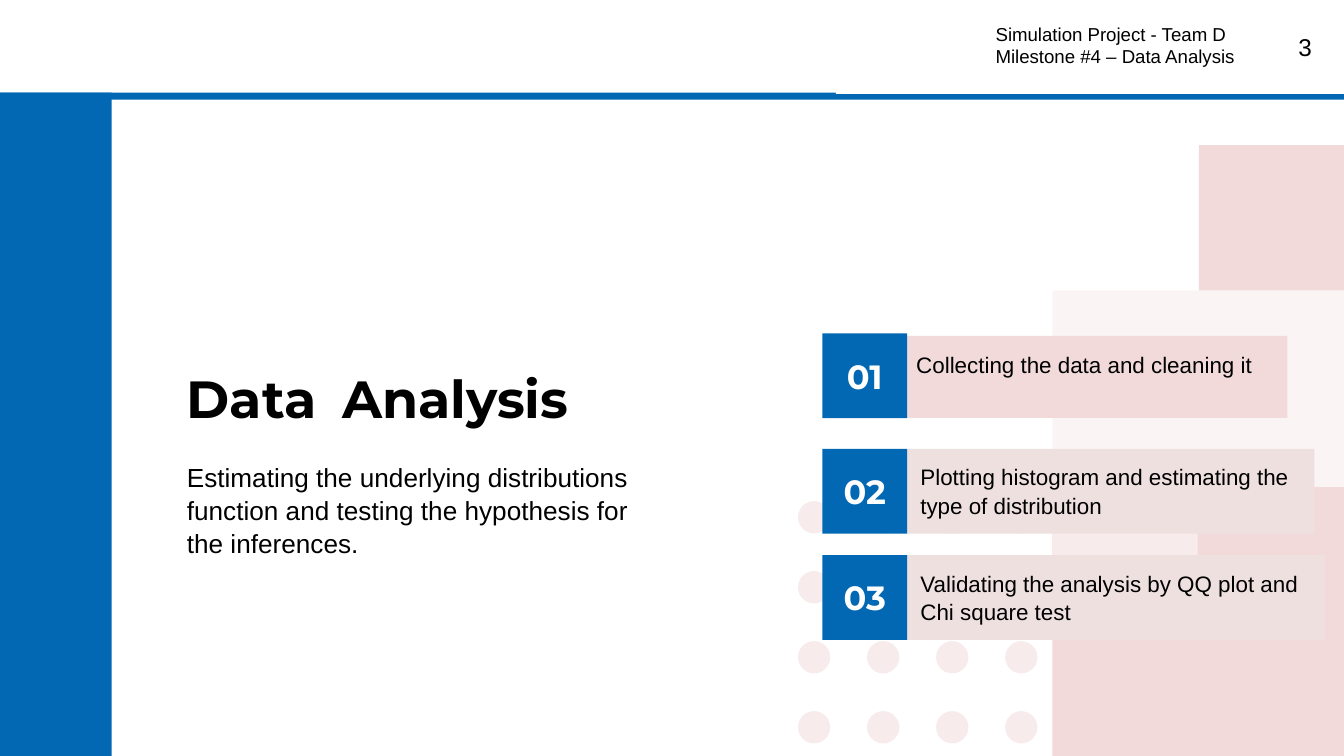
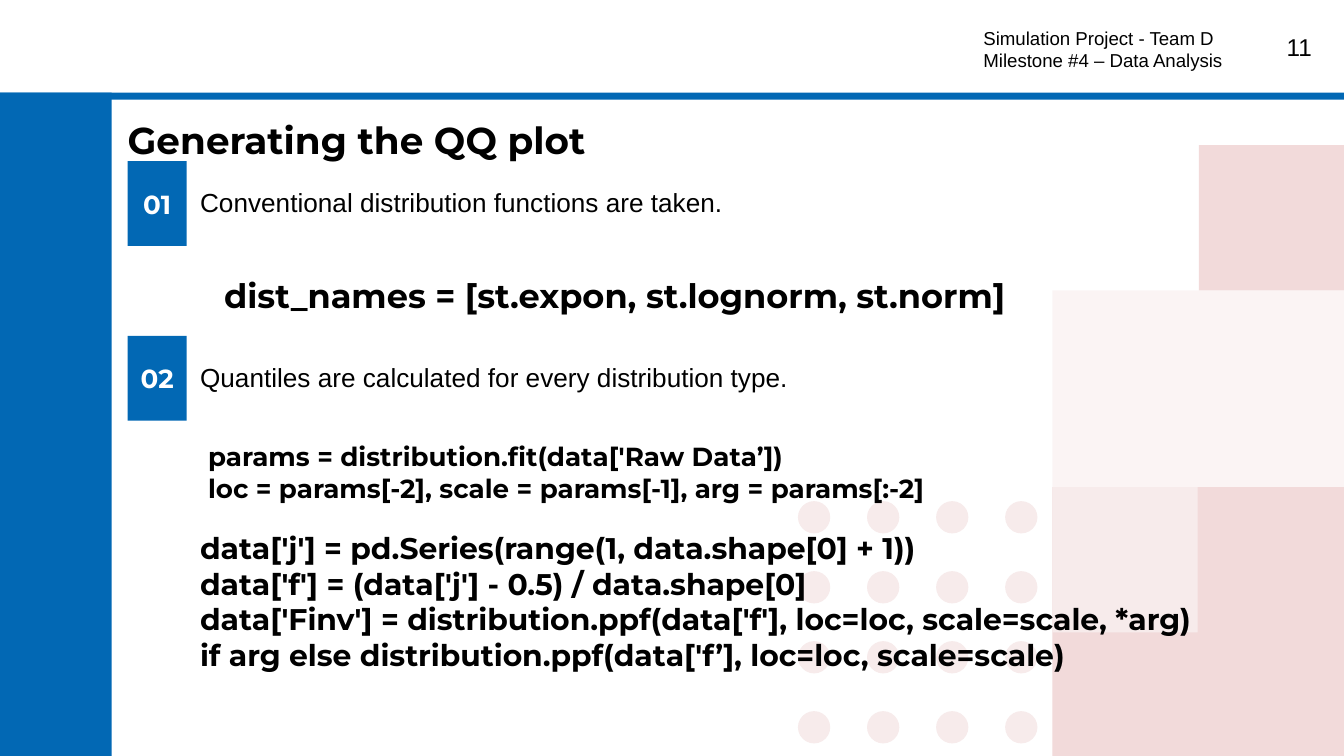
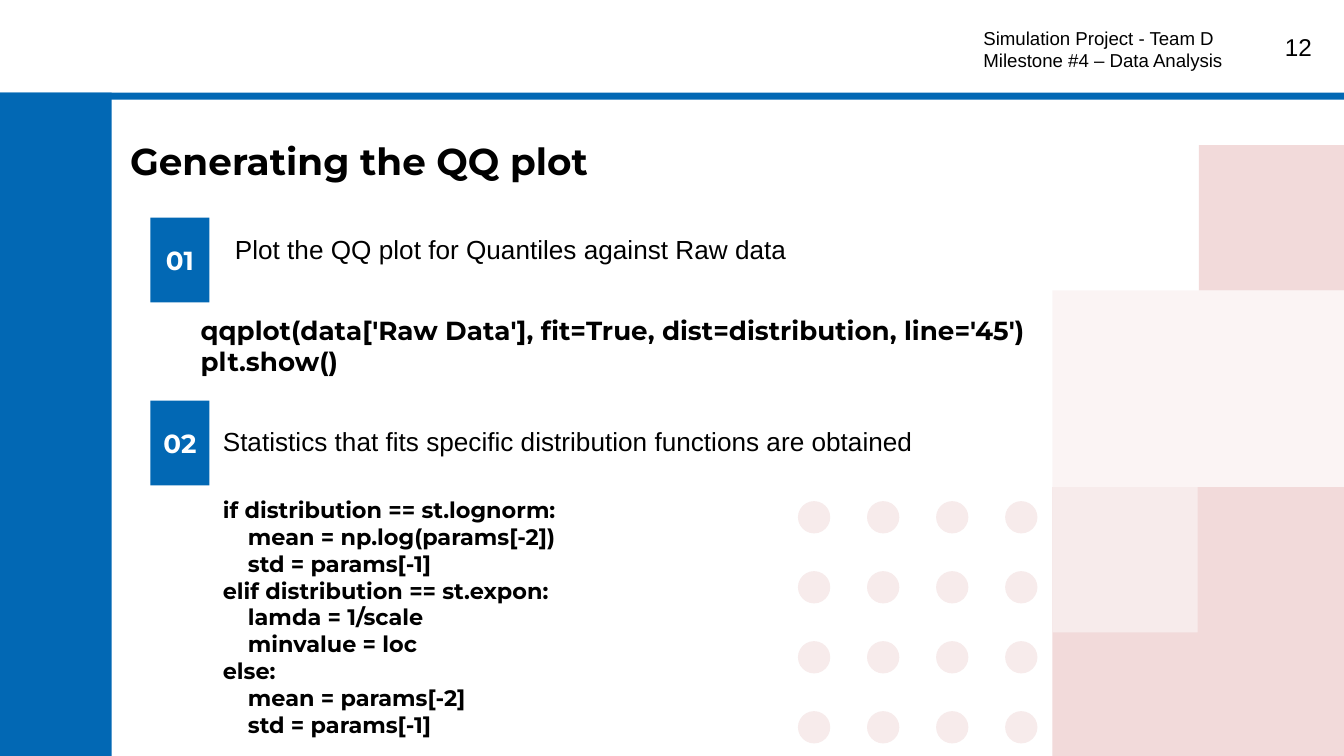
from pptx import Presentation
from pptx.dml.color import RGBColor
from pptx.enum.shapes import MSO_SHAPE
from pptx.enum.text import MSO_ANCHOR, MSO_AUTO_SIZE, PP_ALIGN
from pptx.oxml.ns import qn
from pptx.util import Pt
from lxml import etree

RECT, OVAL = MSO_SHAPE.RECTANGLE, MSO_SHAPE.OVAL
LEFT, MID, RIGHT = PP_ALIGN.LEFT, PP_ALIGN.CENTER, PP_ALIGN.RIGHT
TOP, CENTER = MSO_ANCHOR.TOP, MSO_ANCHOR.MIDDLE
FIXED = MSO_AUTO_SIZE.NONE
HEAD, BODY = "Montserrat", "Arial"
COLORS = {"blue": "0268B4", "pink": "F2DADA", "pale": "F7EBEB",
          "card": "EFE0E0", "white": "FFFFFF", "black": "000000"}
WIDE, HIGH = 720, 405
SPACE = 0.28  # width of a leading space, in ems
TEAM = "Simulation Project - Team D\nMilestone #4 – Data Analysis"


class Deck:
    def __init__(self):
        self.prs = Presentation()
        self.prs.slide_width, self.prs.slide_height = Pt(WIDE), Pt(HIGH)
        self.slide = None

    def start(self, layout, number, team):
        self.slide = self.prs.slides.add_slide(self.prs.slide_layouts[layout])
        self.decor()
        if layout == 0:
            self.block((447.8, 0, 272.2, 50.4), "white")
        self.text((666.7, 10.1, 43.2, 31), str(number), 13, align=RIGHT, pad=7.2)
        self.text((*team, 167.8, 40.3), TEAM, 10, pad=7.2)

    def decor(self):
        for row in range(4):
            for col in range(4):
                self.block((427.5 + 37 * col, 268.5 + 37.5 * row, 17.3, 17.3),
                           "pale", OVAL)
        side, edge = 77.8, 563.8
        self.block((edge, 155.6, WIDE - edge, 105.4), "pink", alpha=28)
        self.block((0, 0, 59.8, HIGH), "blue")
        self.block((WIDE - side, side, side, side), "pink")
        self.block((edge, 261, WIDE - edge, HIGH - 261), "pink")
        self.block((edge, 261, side, side), "pale")
        self.block((0, 0, WIDE, 49.7), "white")
        self.block((0, 49.7, WIDE, 3.8), "blue")

    def block(self, box, color, kind=RECT, alpha=None):
        shape = self.slide.shapes.add_shape(kind, *map(Pt, box))
        shape.shadow.inherit = False
        shape.fill.solid()
        shape.fill.fore_color.rgb = RGBColor.from_string(COLORS[color])
        shape.line.fill.background()
        if alpha:
            tint = shape.element.spPr.find(".//" + qn("a:srgbClr"))
            etree.SubElement(tint, qn("a:alpha"), val=str(alpha * 1000))
        return shape

    def label(self, shape, text, size, font=BODY, color="black", align=LEFT,
              anchor=TOP, pad=(7.2, 7.2), lead=None):
        """Fill a shape; leading spaces of a line become a paragraph indent."""
        frame = shape.text_frame
        frame.word_wrap, frame.auto_size = True, FIXED
        frame.vertical_anchor = anchor
        frame.margin_left = frame.margin_right = Pt(pad[0])
        frame.margin_top = frame.margin_bottom = Pt(pad[1])
        lines = text.split("\n")
        frame.text = "\n".join(line.lstrip() for line in lines)
        for para, line in zip(frame.paragraphs, lines):
            para.alignment, para.space_before = align, Pt(0)
            para.line_spacing = lead
            indent = (len(line) - len(line.lstrip())) * SPACE * size
            props = para._p.get_or_add_pPr()
            props.set("marL", str(int(Pt(indent))))
            props.set("indent", "0")
            for run in para.runs:
                self.style(run, size, font, color)

    def style(self, run, size, font, color="black"):
        run.font.size, run.font.name = Pt(size), font
        run.font.bold = font == HEAD
        run.font.color.rgb = RGBColor.from_string(COLORS[color])

    def text(self, box, text, size=14, font=BODY, align=LEFT, anchor=TOP, pad=3.6):
        shape = self.slide.shapes.add_textbox(*map(Pt, box))
        self.label(shape, text, size, font, align=align, anchor=anchor,
                   pad=(7.2, pad))

    def code(self, box, text, size=14, anchor=TOP):
        self.text(box, text, size, HEAD, anchor=anchor)

    def holder(self, index, box, text, size, font, lead=None):
        """Place a template placeholder in front of everything drawn so far."""
        shape = self.slide.placeholders[index]
        shape.left, shape.top, shape.width, shape.height = map(Pt, box)
        self.label(shape, text, size, font, lead=lead)
        self.slide.shapes._spTree.append(shape.element)
        return shape

    def title(self, box, text, size=20):
        return self.holder(0, box, text, size, HEAD)

    def badge(self, box, number, size=14):
        self.label(self.block(box, "blue"), f"{number:02}", size, HEAD, "white",
                   MID, CENTER, (0, 7.2))

    def card(self, box, text, color):
        self.label(self.block(box, color), text, 12, lead=1.05)


def agenda(deck):
    deck.start(0, 3, (526.3, 5))
    title = deck.title((92.9, 169.2, 279.4, 69.8), "Data", 28)
    para = title.text_frame.paragraphs[0]
    for word, size in ((" ", 48), ("Analysis", 28)):
        run = para.add_run()
        run.text = word
        deck.style(run, size, HEAD)
    deck.holder(1, (92.9, 239, 271.4, 74.9),
                "Estimating the underlying distributions function and testing "
                "the hypothesis for the inferences.", 14, BODY, 1.05)
    side = 45.4
    steps = (
        ((483.8, 180, 205.9, 43.9), 178.6, "pink",
         "Collecting the data and cleaning it"),
        ((486, 240.5, 218.2, side), 240.5, "card",
         "Plotting histogram and estimating the type of distribution"),
        ((486, 297.4, 223.9, side), 297.4, "card",
         "Validating the analysis by QQ plot and Chi square test"),
    )
    for number, (box, top, color, text) in enumerate(steps, 1):
        deck.card(box, text, color)
        deck.badge((440.6, top, side, side), number, 18)


def quantiles(deck):
    deck.start(5, 11, (519.8, 7.2))
    steps = ((86.4, "Conventional distribution functions are taken."),
             (180, "Quantiles are calculated for every distribution type."))
    for number, (top, text) in enumerate(steps, 1):
        deck.badge((68.4, top, 31.7, 45.4), number)
        deck.text((100.1, top + 10.1, 411, 24.5), text)
    deck.code((113, 144, 453.6, 28.8),
              "dist_names = [st.expon, st.lognorm, st.norm]", 18)
    deck.code((104.4, 232.6, 453.6, 41),
              "params = distribution.fit(data['Raw Data’])\n"
              "loc = params[-2], scale = params[-1], arg = params[:-2]")
    deck.code((100.1, 280.1, 558, 85),
              "data['j'] = pd.Series(range(1, data.shape[0] + 1))\n"
              "data['f'] = (data['j'] - 0.5) / data.shape[0]\n"
              "data['Finv'] = distribution.ppf(data['f'], loc=loc, scale=scale, "
              "*arg) if arg else distribution.ppf(data['f’], loc=loc, "
              "scale=scale)", 16)
    deck.title((61.2, 55.4, 279.4, 69.8), "Generating the QQ plot")


def fits(deck):
    deck.start(5, 12, (519.8, 7.2))
    steps = ((116.6, 118.8, 121.7, "Plot the QQ plot for Quantiles against Raw data"),
             (214.6, 112.3, 224.6, "Statistics that fits specific distribution "
                                   "functions are obtained"))
    for number, (top, left, line, text) in enumerate(steps, 1):
        deck.badge((80.6, top, 31.7, 45.4), number)
        deck.text((left, line, 443.5, 24.5), text)
    deck.code((96.5, 164.9, 594.7, 41),
              " qqplot(data['Raw Data'], fit=True, dist=distribution, line='45')\n"
              " plt.show()")
    deck.code((112.3, 261.4, 548.6, 138.2),
              "if distribution == st.lognorm:\n"
              "    mean = np.log(params[-2])\n"
              "    std = params[-1]\n"
              "elif distribution == st.expon:\n"
              "    lamda = 1/scale\n"
              "    minvalue = loc\n"
              "else:\n"
              "    mean = params[-2]\n"
              "    std = params[-1]", 12, CENTER)
    deck.title((56.9, 67, 270, 52.6), " Generating the QQ plot")


def main():
    deck = Deck()
    for build in (agenda, quantiles, fits):
        build(deck)
    deck.prs.save("out.pptx")


if __name__ == "__main__":
    main()
